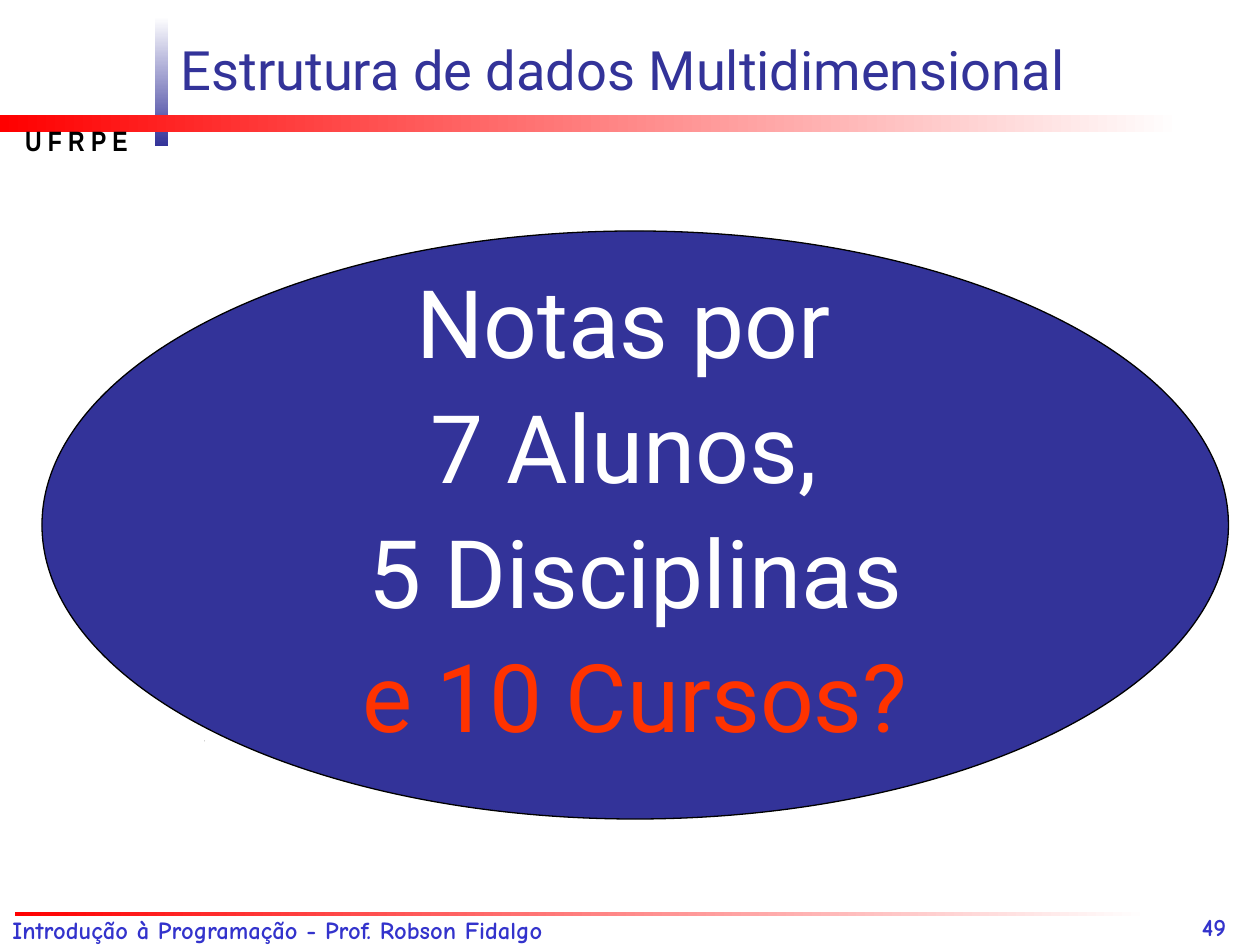
from dataclasses import dataclass

from pptx import Presentation
from pptx.dml.color import RGBColor
from pptx.enum.shapes import MSO_SHAPE
from pptx.enum.text import MSO_ANCHOR, MSO_AUTO_SIZE, PP_ALIGN
from pptx.slide import Slide
from pptx.util import Pt


def color(value):
    return RGBColor.from_string(value)


@dataclass
class SlideBuilder:
    slide: Slide
    heading_font: str = "Roboto"
    footer_font: str = "Comic Neue"
    label_font: str = "Arial Narrow"
    navy: str = "333399"
    footer_blue: str = "3333CC"
    red: str = "FF0000"
    orange: str = "FF3300"
    white: str = "FFFFFF"
    black: str = "000000"

    def add_run(self, paragraph, text, font, size, ink, bold=False):
        run = paragraph.add_run()
        run.text = text
        run.font.name = font
        run.font.size = Pt(size)
        run.font.bold = bold
        run.font.color.rgb = color(ink)

    def title(self, text, left, top, width, height):
        title = self.slide.shapes.title
        title.left, title.top = Pt(left), Pt(top)
        title.width, title.height = Pt(width), Pt(height)
        frame = title.text_frame
        frame.auto_size = MSO_AUTO_SIZE.NONE
        frame.vertical_anchor = MSO_ANCHOR.BOTTOM
        frame.paragraphs[0].alignment = PP_ALIGN.LEFT
        self.add_run(frame.paragraphs[0], text, self.heading_font, 31, self.navy)

    def gradient_bar(self, left, top, width, height, start, end, angle=0):
        bar = self.slide.shapes.add_shape(
            MSO_SHAPE.RECTANGLE, Pt(left), Pt(top), Pt(width), Pt(height))
        bar.shadow.inherit = False
        bar.line.fill.background()
        bar.fill.gradient()
        bar.fill.gradient_angle = angle
        for stop, position, tone in zip(bar.fill.gradient_stops, (0, 1), (start, end)):
            stop.position = position
            stop.color.rgb = color(tone)

    def label(self, text, left, top, width, height, font, size, ink,
              wrap=True, anchor=MSO_ANCHOR.TOP):
        box = self.slide.shapes.add_textbox(Pt(left), Pt(top), Pt(width), Pt(height))
        frame = box.text_frame
        frame.word_wrap = wrap
        frame.vertical_anchor = anchor
        self.add_run(frame.paragraphs[0], text, font, size, ink, bold=True)

    def speck(self, left, top, width, height):
        outline = self.slide.shapes.build_freeform(Pt(left), Pt(top))
        outline.add_line_segments(
            [(Pt(left + width), Pt(top)), (Pt(left), Pt(top + height))], close=True)
        speck = outline.convert_to_shape()
        speck.shadow.inherit = False
        speck.line.fill.background()
        speck.fill.solid()
        speck.fill.fore_color.rgb = color(self.black)

    def ellipse(self, lines, left, top, width, height):
        ellipse = self.slide.shapes.add_shape(
            MSO_SHAPE.OVAL, Pt(left), Pt(top), Pt(width), Pt(height))
        ellipse.shadow.inherit = False
        ellipse.fill.solid()
        ellipse.fill.fore_color.rgb = color(self.navy)
        ellipse.line.color.rgb = color(self.black)
        ellipse.line.width = Pt(0.75)
        frame = ellipse.text_frame
        frame.word_wrap = False
        frame.vertical_anchor = MSO_ANCHOR.MIDDLE
        frame.margin_bottom = Pt(29.6)
        paragraph = frame.paragraphs[0]
        paragraph.alignment = PP_ALIGN.CENTER
        paragraph.line_spacing = 1.1
        for index, (text, ink) in enumerate(lines):
            if index:
                paragraph.add_line_break()
            self.add_run(paragraph, text, self.heading_font, 54, ink)


def main():
    presentation = Presentation()
    presentation.slide_width, presentation.slide_height = Pt(720), Pt(540)
    builder = SlideBuilder(
        presentation.slides.add_slide(presentation.slide_layouts[5]))

    builder.gradient_bar(88.5, 9.5, 7.5, 74, builder.white, builder.navy, 270)
    builder.gradient_bar(0, 66, 675, 9.75, builder.red, builder.white)
    builder.gradient_bar(8.5, 521, 648, 2.5, builder.red, builder.white)

    builder.label("Introdução à Programação - Prof. Robson Fidalgo",
                  0, 519.4, 451.5, 24.5, builder.footer_font, 14, builder.footer_blue)
    builder.label("U F R P E", 7.2, 67, 73.5, 26.5,
                  builder.label_font, 16, builder.black, wrap=False)
    builder.label("49", 679.7, 505.5, 60, 36, builder.footer_font, 14,
                  builder.footer_blue, anchor=MSO_ANCHOR.BOTTOM)

    builder.title("Estrutura de dados Multidimensional", 96, 12.6, 624, 49)
    builder.speck(116.6, 423.2, 0.3, 0.5)
    builder.ellipse([("Notas por ", builder.white),
                     ("7 Alunos, ", builder.white),
                     ("5 Disciplinas", builder.white),
                     ("e 10 Cursos?", builder.orange)],
                    24, 132, 678, 336)

    presentation.save("out.pptx")


if __name__ == "__main__":
    main()
